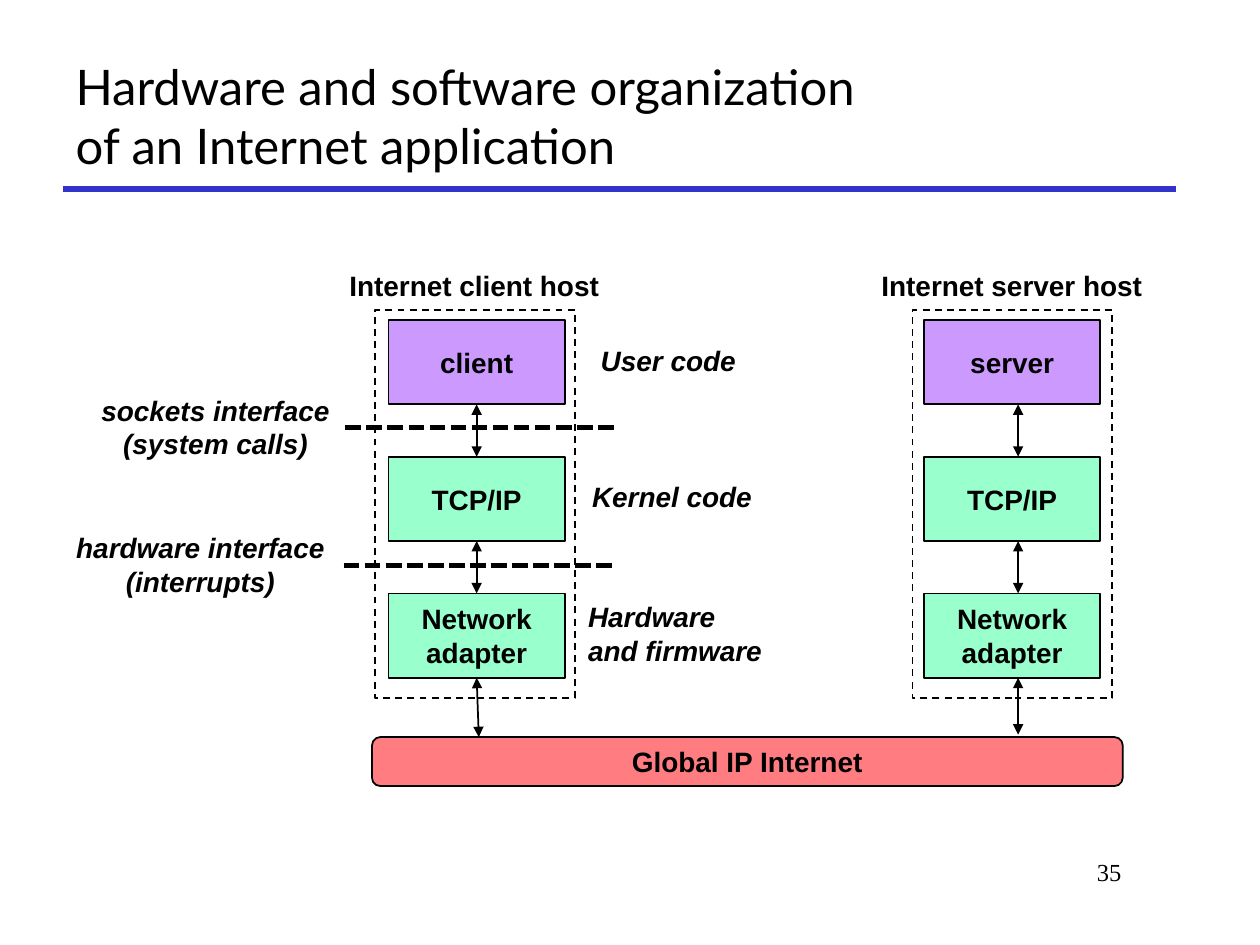
import pptx
import pptx.util
import pptx.dml.color
import pptx.oxml
import pptx.oxml.ns
from pptx.enum.dml import MSO_LINE
from pptx.enum.shapes import MSO_CONNECTOR, MSO_SHAPE
from pptx.enum.text import MSO_ANCHOR, MSO_AUTO_SIZE, PP_ALIGN

Pt = pptx.util.Pt

TITLE = "Hardware and software organization\vof an Internet application"
PURPLE, GREEN, RED, BLUE, BLACK = "CC99FF", "99FFCC", "FF7C80", "3333CC", "000000"

# box left, arrow x, dashed frame left, end of the lowest arrow (x, y), layers
HOSTS = [
    (222, 272.4, 214.5, (273.6, 421.2),
     [("client", PURPLE), ("TCP/IP", GREEN), ("Network\nadapter", GREEN)]),
    (528, 581.8, 521.5, (581.8, 419.8),
     [("server", PURPLE), ("TCP/IP", GREEN), ("Network\nadapter", GREEN)]),
]
BOX_W, BOX_H, BOX_TOP, BOX_STEP = 100.8, 48.2, 182.9, 78.1
FRAME_TOP, FRAME_W, FRAME_H = 177, 114, 222

# text, (left, top, width, height), alignment, italic
LABELS = [
    ("Internet client host", (192.2, 150, 157.7, 26.6), PP_ALIGN.CENTER, False),
    ("Internet server host", (496.1, 150, 164.2, 26.6), PP_ALIGN.CENTER, False),
    ("sockets interface\n(system calls)", (50.4, 221, 145.4, 46), PP_ALIGN.CENTER, True),
    ("hardware interface\n(interrupts)", (36, 299.5, 157, 46), PP_ALIGN.CENTER, True),
    ("User code", (336.2, 192.5, 92.2, 26.6), PP_ALIGN.LEFT, True),
    ("Kernel code", (331.2, 270.6, 106.6, 26.6), PP_ALIGN.LEFT, True),
    ("Hardware\vand firmware", (329, 338.7, 115.2, 46), PP_ALIGN.LEFT, True),
]
INTERFACES = [(197.4, 244.1), (196.4, 323.1)]  # left, y of the dotted lines
INTERFACE_W = 154.5


def rgb(value):
    return pptx.dml.color.RGBColor.from_string(value)


def set_text(shape, text, align, anchor=MSO_ANCHOR.MIDDLE, wrap=False, color=BLACK, **font):
    tf = shape.text_frame
    tf.auto_size = MSO_AUTO_SIZE.NONE
    tf.word_wrap = wrap
    tf.vertical_anchor = anchor
    tf.text = text
    for p in tf.paragraphs:
        p.alignment = align
        for r in p.runs:
            for name, value in font.items():
                setattr(r.font, name, value)
            r.font.color.rgb = rgb(color)


def add_box(s, kind, area, fill=None, text=None, dash=None):
    sp = s.shapes.add_shape(kind, *map(Pt, area))
    sp.shadow.inherit = False
    if fill:
        sp.fill.solid()
        sp.fill.fore_color.rgb = rgb(fill)
    else:
        sp.fill.background()
    sp.line.color.rgb = rgb(BLACK)
    sp.line.width = Pt(1)
    if dash:
        sp.line.dash_style = dash
    if text:
        set_text(sp, text, PP_ALIGN.CENTER, **LABEL_FONT)
    return sp


def add_line(s, start, end, width=1, color=BLACK, dash=None, arrows=False):
    c = s.shapes.add_connector(MSO_CONNECTOR.STRAIGHT, *map(Pt, start + end))
    c.line.color.rgb = rgb(color)
    c.line.width = Pt(width)
    if dash:
        c.line.dash_style = dash
    if arrows:
        ln = c.line._get_or_add_ln()
        for tag in ("a:headEnd", "a:tailEnd"):
            pptx.oxml.ns.qn(tag)
            ln.append(pptx.oxml.parse_xml(
                f'<{tag} {pptx.oxml.ns.nsdecls("a")} type="triangle"/>'))
    c._element.spPr.append(pptx.oxml.parse_xml(
        f'<a:effectLst {pptx.oxml.ns.nsdecls("a")}/>'))
    return c


def add_host(s, left, arrow_x, frame_left, last_end, layers):
    add_box(s, MSO_SHAPE.RECTANGLE, (frame_left, FRAME_TOP, FRAME_W, FRAME_H),
            dash=MSO_LINE.DASH)
    tops = [BOX_TOP + i * BOX_STEP for i in range(len(layers))]
    boxes = [add_box(s, MSO_SHAPE.RECTANGLE, (left, top, BOX_W, BOX_H), fill, text)
             for top, (text, fill) in zip(tops, layers)]
    ends = [(arrow_x, top) for top in tops[1:]] + [last_end]
    centred = abs(arrow_x - left - BOX_W / 2) < 0.1
    for i, (top, end) in enumerate(zip(tops, ends)):
        c = add_line(s, (arrow_x, top + BOX_H), end, arrows=True)
        if centred:
            c.begin_connect(boxes[i], 2)
            if i + 1 < len(boxes):
                c.end_connect(boxes[i + 1], 0)


LABEL_FONT = {"name": "Arial", "size": Pt(16), "bold": True}

prs = pptx.Presentation()
prs.slide_width, prs.slide_height = Pt(720), Pt(540)
s = prs.slides.add_slide(prs.slide_layouts[5])

title = s.shapes.title
title.left, title.top, title.width, title.height = map(Pt, (36, 24, 636, 84))
set_text(title, TITLE, PP_ALIGN.LEFT, wrap=True, name="Lato", size=Pt(28))
add_line(s, (36, 108), (672, 108), width=3, color=BLUE)

for host in HOSTS:
    add_host(s, *host)

bar = add_box(s, MSO_SHAPE.ROUNDED_RECTANGLE, (212.6, 421.2, 429, 28), RED,
              "Global IP Internet")
bar.adjustments[0] = 0.17

for left, y in INTERFACES:
    add_line(s, (left, y), (left + INTERFACE_W, y), width=3, dash=MSO_LINE.SQUARE_DOT)

for text, area, align, italic in LABELS:
    label = s.shapes.add_textbox(*map(Pt, area))
    set_text(label, text, align, italic=italic, **LABEL_FONT)

number = s.shapes.add_textbox(*map(Pt, (546, 486, 102, 36)))
set_text(number, "35", PP_ALIGN.RIGHT, MSO_ANCHOR.TOP, wrap=True,
         name="Times New Roman", size=Pt(14))

prs.save("out.pptx")
